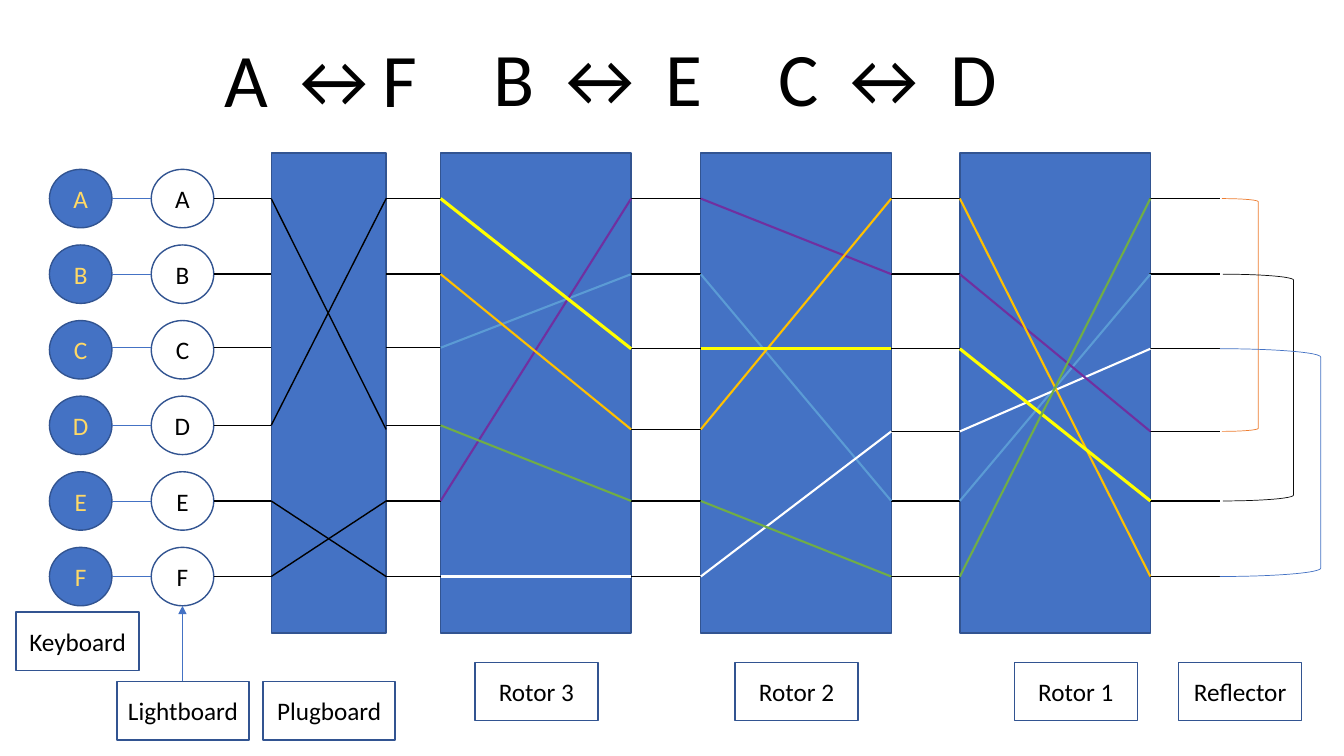
"""Builds a slide that traces six letters through a rotor cipher machine."""
from dataclasses import dataclass
from itertools import pairwise

from lxml import etree
from pptx import Presentation
from pptx import util as u
from pptx.dml.color import RGBColor
from pptx.enum import shapes, text
from pptx.oxml.ns import qn

PX = 9144


@dataclass(frozen=True)
class Theme:
    """Colours, type sizes and line widths."""
    font: str = "Calibri"
    body: int = 18
    head: int = 54
    thin: float = 0.5
    line: float = 1
    wire: float = 1.5
    bold: float = 2.25
    blue: str = "4472C4"
    edge: str = "325491"
    black: str = "000000"
    ink: str = "0D0D0D"
    white: str = "FFFFFF"
    gold: str = "FFD966"
    rust: str = "ED7D31"
    sky: str = "5B9BD5"
    purple: str = "7030A0"
    orange: str = "FFC000"
    yellow: str = "FFFF00"
    green: str = "70AD47"


T = Theme()
KIND = shapes.MSO_SHAPE
LEFT = (197, 272, 345, 422, 497, 572)
MID = (197, 272, 346, 426, 497, 572)
RIGHT = (197, 272, 346, 428, 497, 572)
ROWS = (LEFT, MID, RIGHT, RIGHT)
LEADS = ((212, 437), (625, 695), (884, 952), (1140, 1210))
ROTORS = (437, 695, 952)
WIDE = 189
SWAPS = ((0, 3), (3, 0), (5, 4), (4, 5))
PATHS = (
    (T.sky, T.wire, (2, 1, 4, 1)),
    (T.white, T.wire, (5, 5, 3, 2)),
    (T.purple, T.wire, (4, 0, 1, 3)),
    (T.orange, T.wire, (1, 3, 0, 5)),
    (T.yellow, T.bold, (0, 2, 2, 4)),
    (T.green, T.wire, (3, 4, 5, 0)),
)
LOOPS = (
    (0, 3, 1212, 36, T.rust),
    (1, 4, 1213, 70, T.ink),
    (2, 5, 1210, 100, T.blue),
)
LABELS = (
    ("Keyboard", 16, 607, 122),
    ("Lightboard", 116, 676, 131),
    ("Plugboard", 261, 676, 131),
    ("Rotor 3", 471, 657, 122),
    ("Rotor 2", 729, 657, 122),
    ("Rotor 1", 1006, 657, 122),
    ("Reflector", 1169, 657, 122),
)
TITLES = (("A ↔F", 212, 27, 213), ("B ↔ E", 478, 26, 230), ("C ↔ D", 761, 26, 239))


def rgb(hue):
    """Turn a hex string into a colour."""
    return RGBColor.from_string(hue)


def emu(*nums):
    """Scale px lengths to EMU."""
    return [u.Emu(n * PX) for n in nums]


def write(frame, words, size, hue):
    """Put one centred paragraph in a text frame."""
    para = frame.paragraphs[0]
    para.text = words
    para.alignment = text.PP_ALIGN.CENTER
    para.font.name = T.font
    para.font.size = u.Pt(size)
    para.font.color.rgb = rgb(hue)


def block(slide, kind, area, fill, words="", hue=T.black):
    """Add a filled, outlined shape with optional text."""
    shape = slide.shapes.add_shape(kind, *emu(*area))
    shape.shadow.inherit = False
    shape.fill.solid()
    shape.fill.fore_color.rgb = rgb(fill)
    shape.line.color.rgb = rgb(T.edge)
    shape.line.width = u.Pt(T.line)
    if words:
        shape.text_frame.vertical_anchor = text.MSO_ANCHOR.MIDDLE
        write(shape.text_frame, words, T.body, hue)


def loop(slide, area, hue):
    """Add an open bracket of the reflector."""
    shape = slide.shapes.add_shape(KIND.RIGHT_BRACKET, *emu(*area))
    shape.shadow.inherit = False
    shape.fill.background()
    shape.line.color.rgb = rgb(hue)
    shape.line.width = u.Pt(T.thin)


def wire(slide, start, end, hue, width, arrow=False):
    """Add a straight line, with an arrowhead at its end if asked."""
    line = slide.shapes.add_connector(
        shapes.MSO_CONNECTOR.STRAIGHT, *emu(*start, *end))
    line.line.color.rgb = rgb(hue)
    line.line.width = u.Pt(width)
    props = line._element.spPr
    if arrow:
        etree.SubElement(props.find(qn("a:ln")), qn("a:tailEnd"), type="triangle")
    etree.SubElement(props, qn("a:effectLst"))


def title(slide, words, left, top, wide):
    """Add one large letter pair."""
    frame = slide.shapes.add_textbox(*emu(left, top, wide, 101)).text_frame
    frame.word_wrap = False
    frame.auto_size = text.MSO_AUTO_SIZE.SHAPE_TO_FIT_TEXT
    write(frame, words, T.head, T.black)


def keys(slide):
    """Add the keyboard and lightboard circles and their links."""
    for row, char in enumerate("ABCDEF"):
        top = 168 + 75 * row
        block(slide, KIND.OVAL, (49, top, 62, 58), T.blue, char, T.gold)
        block(slide, KIND.OVAL, (150, top, 62, 58), T.white, char)
        wire(slide, (111, LEFT[row]), (150, LEFT[row]), T.blue, T.thin)


def drums(slide):
    """Add rotors, plugboard, leads and the wires inside them."""
    for left in ROTORS:
        block(slide, KIND.RECTANGLE, (left, 152, WIDE, 476), T.blue)
    block(slide, KIND.RECTANGLE, (269, 152, 114, 476), T.blue)
    for (start, end), rows in zip(LEADS, ROWS):
        for y in rows:
            for a, b in ((212, 269), (383, end)) if start == 212 else ((start, end),):
                wire(slide, (a, y), (b, y), T.black, T.line)
    for a, b in SWAPS:
        wire(slide, (269, LEFT[a]), (383, MID[b]), T.black, T.line)
    for hue, width, path in PATHS:
        for left, (a, b), (near, far) in zip(ROTORS, pairwise(path), pairwise(ROWS)):
            wire(slide, (left, near[a]), (left + WIDE, far[b]), hue, width)


def main():
    """Build and save the slide."""
    deck = Presentation()
    deck.slide_width, deck.slide_height = emu(1333, 750)
    slide = deck.slides.add_slide(deck.slide_layouts[6])
    keys(slide)
    drums(slide)
    for a, b, left, wide, hue in LOOPS:
        loop(slide, (left, RIGHT[a], wide, RIGHT[b] - RIGHT[a]), hue)
    for words, left, top, wide in LABELS:
        block(slide, KIND.RECTANGLE, (left, top, wide, 58), T.white, words)
    wire(slide, (181, 676), (181, 601), T.blue, T.thin, arrow=True)
    for item in TITLES:
        title(slide, *item)
    deck.save("out.pptx")


if __name__ == "__main__":
    main()
